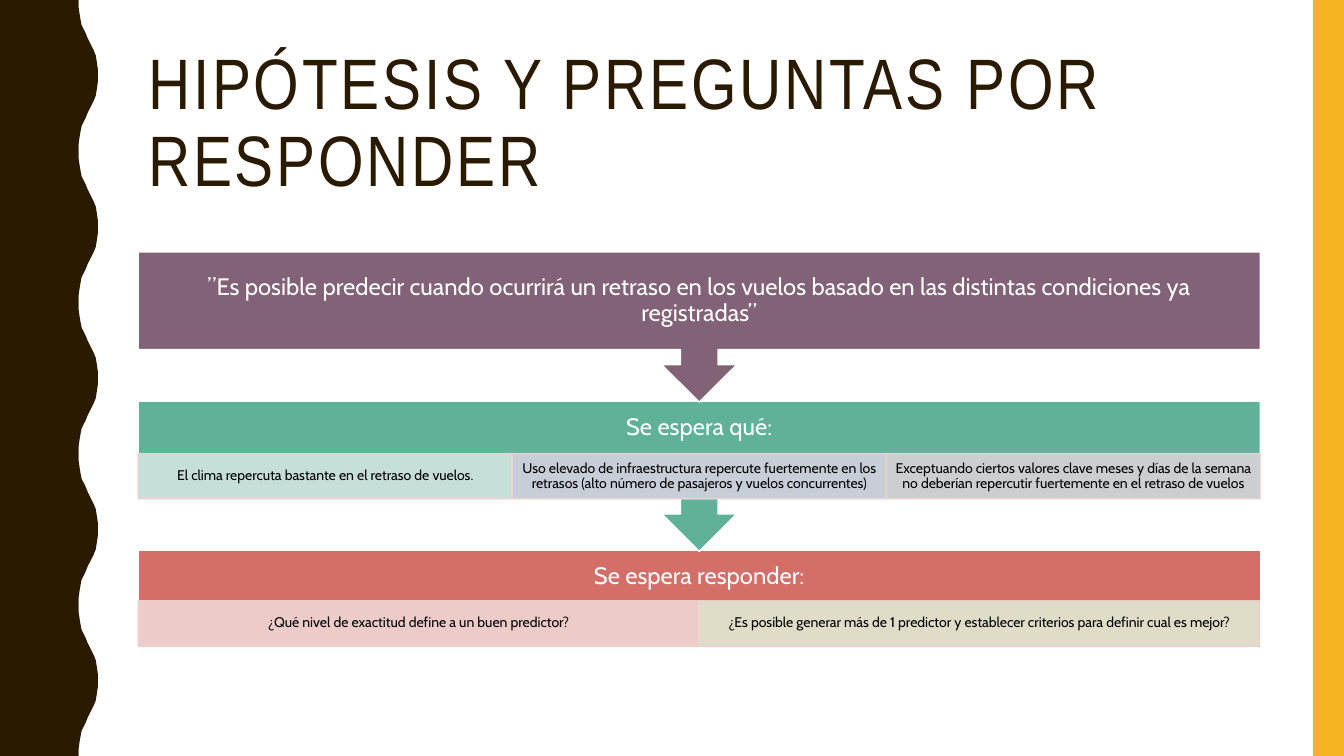
from dataclasses import dataclass

from lxml import etree
from pptx import Presentation
from pptx.dml.color import RGBColor
from pptx.enum.shapes import MSO_SHAPE
from pptx.enum.text import MSO_ANCHOR, PP_ALIGN
from pptx.oxml.ns import qn
from pptx.util import Emu, Pt

RECT = MSO_SHAPE.RECTANGLE
CALLOUT = MSO_SHAPE.UP_ARROW_CALLOUT
MIDDLE = MSO_ANCHOR.MIDDLE
CENTER = PP_ALIGN.CENTER

EMU_PER_PX = 9144  # 100 px to the inch
SLIDE_W, SLIDE_H = 1333, 750
LEFT, WIDTH = 137, 1113
CELL_H = 45
BAR_W = 31

BROWN, YELLOW, WHITE, BLACK = "2A1A00", "F8B323", "FFFFFF", "000000"
CELL_EDGE = "EFD5D4"
CELL_OPACITY = 90
TITLE_FONT, BODY_FONT = "Arial Narrow", "Cabin"

# Half of one wave; the other half mirrors it.
WAVE_PERIOD = 150
WAVE_RISE = [(78, 0), (78, 7), (79, 14), (80, 20), (81, 25), (83, 29), (85, 33),
             (87, 38), (89, 42), (91, 46), (93, 50), (95, 55), (96, 61), (97, 68),
             (97, 75)]


@dataclass(frozen=True)
class Box:
    left: int
    top: int
    width: int
    height: int

    def emu(self) -> list[Emu]:
        return [px(n) for n in (self.left, self.top, self.width, self.height)]


@dataclass(frozen=True)
class Style:
    font: str
    size: int
    color: str
    inset_x: int
    inset_y: int
    centered: bool = True


@dataclass(frozen=True)
class Cell:
    text: str
    fill: str


@dataclass(frozen=True)
class Stage:
    heading: str
    fill: str
    top: int
    height: int
    heading_h: int
    cells_offset: int = 0
    cells: tuple[Cell, ...] = ()
    points_down: bool = True


TITLE_STYLE = Style(TITLE_FONT, 51, BROWN, 10, 5, centered=False)
HEADING_STYLE = Style(BODY_FONT, 17, WHITE, 13, 13)
CELL_STYLE = Style(BODY_FONT, 10, BLACK, 8, 1)

STAGES = [
    Stage("”Es posible predecir cuando ocurrirá un retraso en los vuelos basado en "
          "las distintas condiciones ya registradas”", "826276", 250, 149, 97),
    Stage("Se espera qué:", "5FB19A", 398, 149, 52, 52, (
        Cell("El clima repercuta bastante en el retraso de vuelos.", "D2E5E0"),
        Cell("Uso elevado de infraestructura repercute fuertemente en los retrasos "
             "(alto número de pasajeros y vuelos concurrentes)", "D3D2DF"),
        Cell("Exceptuando ciertos valores clave meses y días de la semana no deberían "
             "repercutir fuertemente en el retraso de vuelos", "D8D3D6"))),
    Stage("Se espera responder:", "D36F68", 546, 97, 52, 50, (
        Cell("¿Qué nivel de exactitud define a un buen predictor?", "EFD5D4"),
        Cell("¿Es posible generar más de 1 predictor y establecer criterios para "
             "definir cual es mejor?", "E1EAD2")), points_down=False),
]


def px(length: int) -> Emu:
    return Emu(length * EMU_PER_PX)


def rgb(color: str) -> RGBColor:
    return RGBColor.from_string(color)


def paint(shape, fill: str, edge: str | None = None, opacity: int = 100) -> None:
    shape.shadow.inherit = False
    shape.fill.solid()
    shape.fill.fore_color.rgb = rgb(fill)
    if edge is None:
        shape.line.fill.background()
    else:
        shape.line.color.rgb = rgb(edge)
        shape.line.width = Pt(1)
    if opacity < 100:
        for color in shape.fill._xPr.iter(qn("a:srgbClr")):
            etree.SubElement(color, qn("a:alpha")).set("val", str(opacity * 1000))


def write(shape, text: str, style: Style):
    frame = shape.text_frame
    frame.word_wrap = True
    frame.vertical_anchor = MIDDLE
    frame.margin_left = frame.margin_right = px(style.inset_x)
    frame.margin_top = frame.margin_bottom = px(style.inset_y)
    paragraph = frame.paragraphs[0]
    paragraph.text = text
    paragraph.line_spacing = 0.9
    if style.centered:
        paragraph.alignment = CENTER
    paragraph.font.name = style.font
    paragraph.font.size = Pt(style.size)
    paragraph.font.color.rgb = rgb(style.color)
    return paragraph


def draw_wave(shapes) -> None:
    fall = [(x, WAVE_PERIOD - y) for x, y in reversed(WAVE_RISE[:-1])]
    edge = [(x, start + y) for start in range(0, SLIDE_H, WAVE_PERIOD)
            for x, y in WAVE_RISE + fall]
    builder = shapes.build_freeform(0, 0, scale=EMU_PER_PX)
    builder.add_line_segments(edge + [(0, SLIDE_H)], close=True)
    paint(builder.convert_to_shape(), BROWN)


def draw_title(shapes) -> None:
    title = shapes.add_textbox(*Box(LEFT, 42, WIDTH, 163).emu())
    paragraph = write(title, "HIPÓTESIS Y PREGUNTAS POR RESPONDER", TITLE_STYLE)
    paragraph.runs[0].font._element.set("spc", "200")


def draw_stage(shapes, stage: Stage) -> None:
    block_box = Box(LEFT, stage.top, WIDTH, stage.height)
    block = shapes.add_shape(CALLOUT if stage.points_down else RECT, *block_box.emu())
    if stage.points_down:
        block.rotation = 180
    paint(block, stage.fill, WHITE)

    heading_box = Box(LEFT, stage.top, WIDTH, stage.heading_h)
    write(shapes.add_textbox(*heading_box.emu()), stage.heading, HEADING_STYLE)

    count = len(stage.cells)
    for index, cell in enumerate(stage.cells):
        cell_box = Box(LEFT + index * WIDTH // count, stage.top + stage.cells_offset,
                       WIDTH // count, CELL_H)
        answer = shapes.add_shape(RECT, *cell_box.emu())
        paint(answer, cell.fill, CELL_EDGE, CELL_OPACITY)
        write(answer, cell.text, CELL_STYLE)


def main() -> None:
    deck = Presentation()
    deck.slide_width, deck.slide_height = px(SLIDE_W), px(SLIDE_H)
    shapes = deck.slides.add_slide(deck.slide_layouts[6]).shapes
    draw_wave(shapes)
    side_bar = shapes.add_shape(RECT, *Box(SLIDE_W - BAR_W, 0, BAR_W, SLIDE_H).emu())
    paint(side_bar, YELLOW)
    draw_title(shapes)
    for stage in reversed(STAGES):  # each arrow tip overlaps the block below
        draw_stage(shapes, stage)
    deck.save("out.pptx")


if __name__ == "__main__":
    main()
